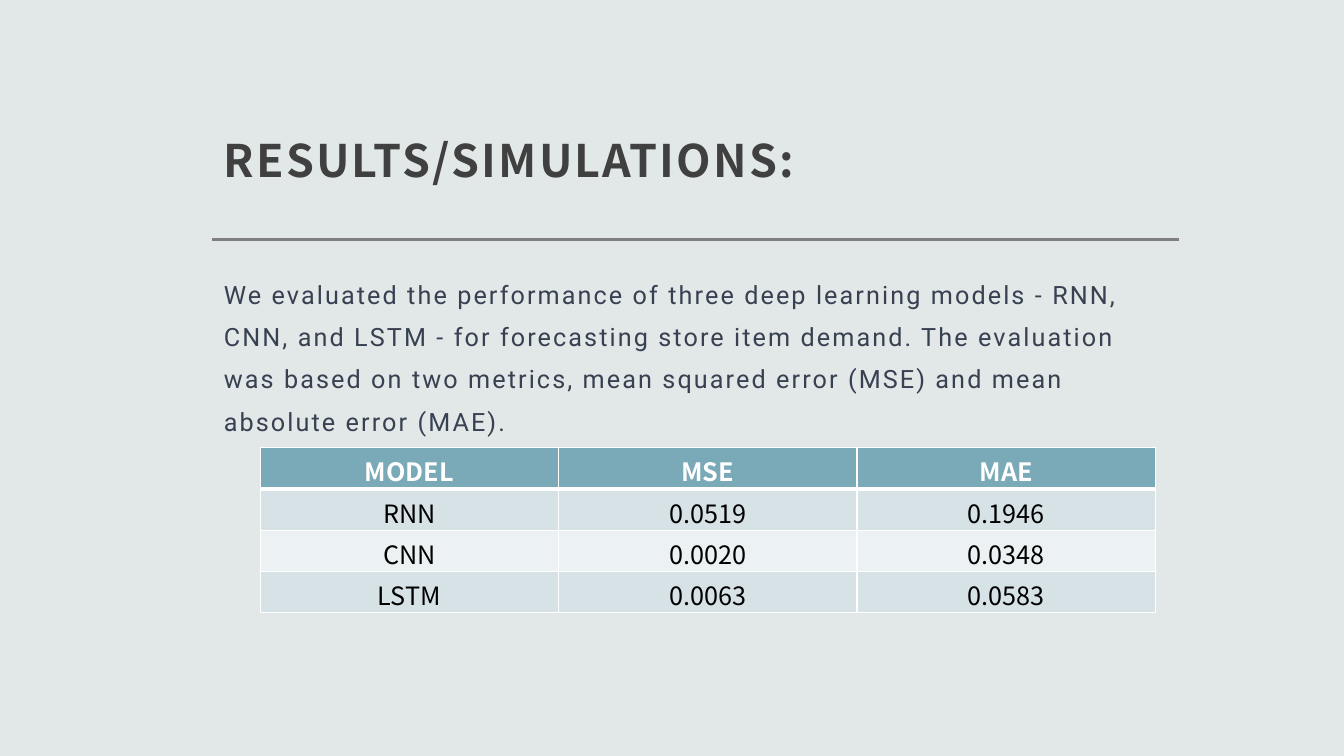
from lxml import etree
from pptx import Presentation
from pptx import util as u
from pptx.dml.color import RGBColor
from pptx.enum import shapes, text
from pptx.oxml.ns import qn

TITLE = "RESULTS/SIMULATIONS:"
SUMMARY = (
    "We evaluated the performance of three deep learning models - RNN, CNN, and LSTM - "
    "for forecasting store item demand. The evaluation was based on two metrics, "
    "mean squared error (MSE) and mean absolute error (MAE)."
)
RESULTS = [
    ("MODEL", "MSE", "MAE"),
    ("RNN", "0.0519", "0.1946"),
    ("CNN", "0.0020", "0.0348"),
    ("LSTM", "0.0063", "0.0583"),
]
COLORS = {
    "background": "E2E8E8", "rule": "808080", "title": "404040", "body": "374151",
    "header": "7AA9B7", "odd": "D7E2E6", "even": "ECF1F3", "white": "FFFFFF", "black": "000000",
}
HEADING_FONT, BODY_FONT = "Noto Sans CJK JP", "Roboto"
WIDTH, HEIGHT = 13.33, 7.5
LEFT, CONTENT_WIDTH = 2.1, 9.59
RULE_Y = 2.38
TABLE_LEFT, TABLE_TOP = 2.58, 4.44
COLUMN_WIDTH, ROW_HEIGHT = 2.96, 0.41


def color(name):
    return RGBColor.from_string(COLORS[name])


def write(frame, content, *, font, size, ink, bold=False, align=text.PP_ALIGN.LEFT,
          line_spacing=None, before=None, tracking=None):
    paragraph = frame.paragraphs[0]
    paragraph.alignment = align
    if line_spacing:
        paragraph.line_spacing = line_spacing
    if before:
        paragraph.space_before = u.Pt(before)
    run = paragraph.add_run()
    run.text = content
    run.font.name, run.font.size, run.font.bold = font, u.Pt(size), bold
    run.font.color.rgb = color(ink)
    if tracking:
        run.font._element.set("spc", str(int(tracking * 100)))


def add_text_box(slide, top, height, content, anchor, **text_format):
    box = slide.shapes.add_textbox(*map(u.Inches, (LEFT, top, CONTENT_WIDTH, height)))
    frame = box.text_frame
    frame.word_wrap = True
    frame.vertical_anchor = anchor
    frame.margin_left = frame.margin_top = frame.margin_right = u.Inches(0.12)
    frame.margin_bottom = u.Inches(0.1)
    write(frame, content, tracking=1.5, **text_format)


def set_borders(cell, widths):
    """Draw white left, right, top and bottom borders, widths in points."""
    properties = cell._tc.get_or_add_tcPr()
    for index, (side, width) in enumerate(zip("LRTB", widths)):
        line = etree.Element(qn(f"a:ln{side}"), w=str(u.Pt(width)))
        fill = etree.SubElement(line, qn("a:solidFill"))
        etree.SubElement(fill, qn("a:srgbClr"), val=COLORS["white"])
        properties.insert(index, line)


def add_rule(slide):
    rule = slide.shapes.add_connector(
        shapes.MSO_CONNECTOR.STRAIGHT,
        *map(u.Inches, (LEFT, RULE_Y, LEFT + CONTENT_WIDTH, RULE_Y)))
    rule.line.color.rgb = color("rule")
    rule.line.width = u.Pt(2)
    etree.SubElement(rule._element.spPr, qn("a:effectLst"))


def add_results_table(slide):
    rows, columns = len(RESULTS), len(RESULTS[0])
    table = slide.shapes.add_table(
        rows, columns, u.Inches(TABLE_LEFT), u.Inches(TABLE_TOP),
        u.Inches(columns * COLUMN_WIDTH), u.Inches(rows * ROW_HEIGHT)).table
    for row, values in enumerate(RESULTS):
        header = row == 0
        for column, value in enumerate(values):
            cell = table.cell(row, column)
            cell.fill.solid()
            cell.fill.fore_color.rgb = color("header" if header else "odd" if row % 2 else "even")
            cell.vertical_anchor = text.MSO_ANCHOR.MIDDLE
            set_borders(cell, (1, 1, 3 if row == 1 else 1, 3 if header else 1))
            write(cell.text_frame, value, font=HEADING_FONT, size=18, bold=header,
                  ink="white" if header else "black", align=text.PP_ALIGN.CENTER)


def main():
    presentation = Presentation()
    presentation.slide_width, presentation.slide_height = u.Inches(WIDTH), u.Inches(HEIGHT)
    slide = presentation.slides.add_slide(presentation.slide_layouts[6])
    slide.background.fill.solid()
    slide.background.fill.fore_color.rgb = color("background")
    add_rule(slide)
    add_text_box(slide, 0.48, 1.47, TITLE, text.MSO_ANCHOR.BOTTOM, font=HEADING_FONT,
                 size=32, ink="title", bold=True, line_spacing=1.3)
    add_text_box(slide, 2.53, 3.99, SUMMARY, text.MSO_ANCHOR.TOP, font=BODY_FONT,
                 size=18, ink="body", line_spacing=1.4, before=9.3)
    add_results_table(slide)
    presentation.save("out.pptx")


if __name__ == "__main__":
    main()
